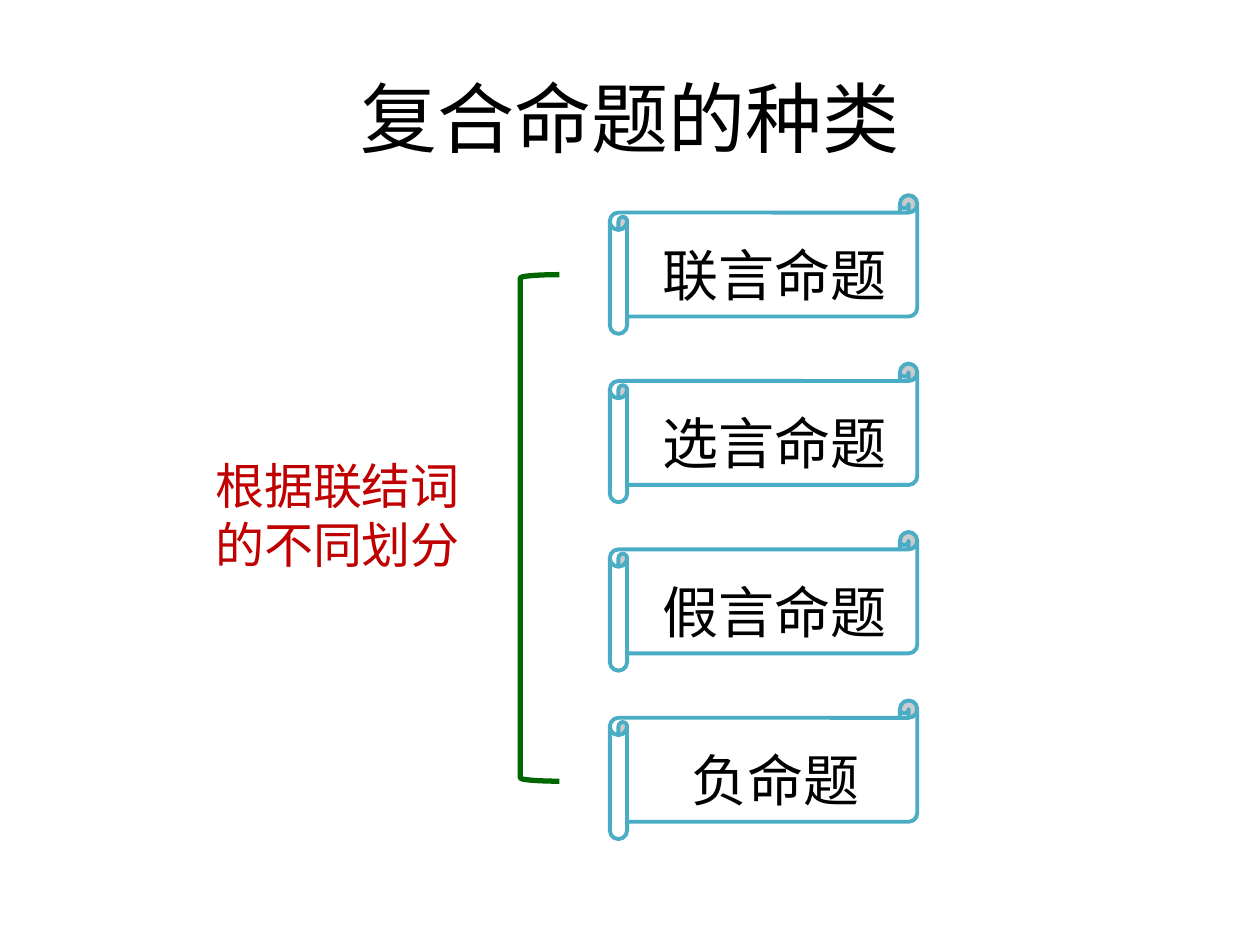
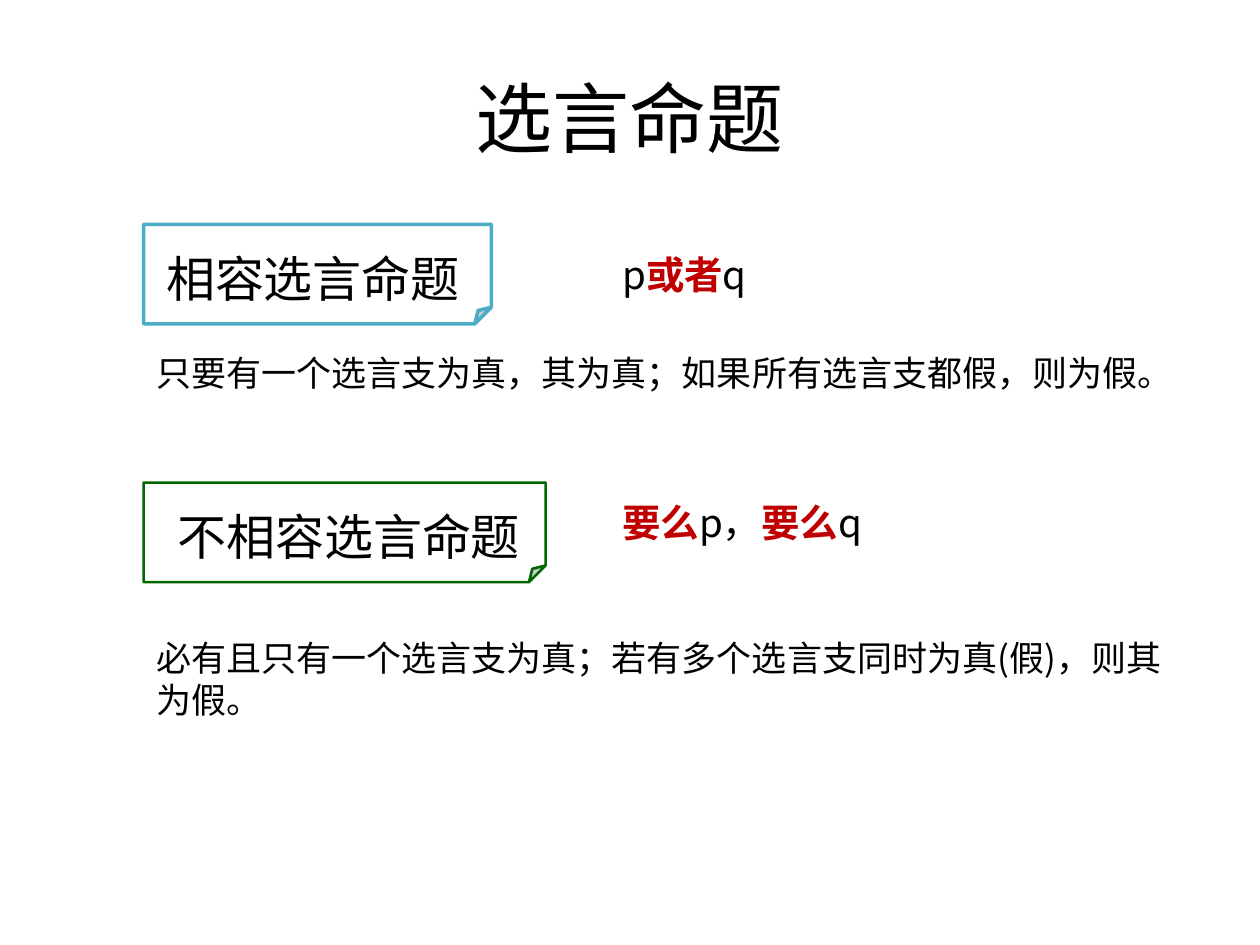
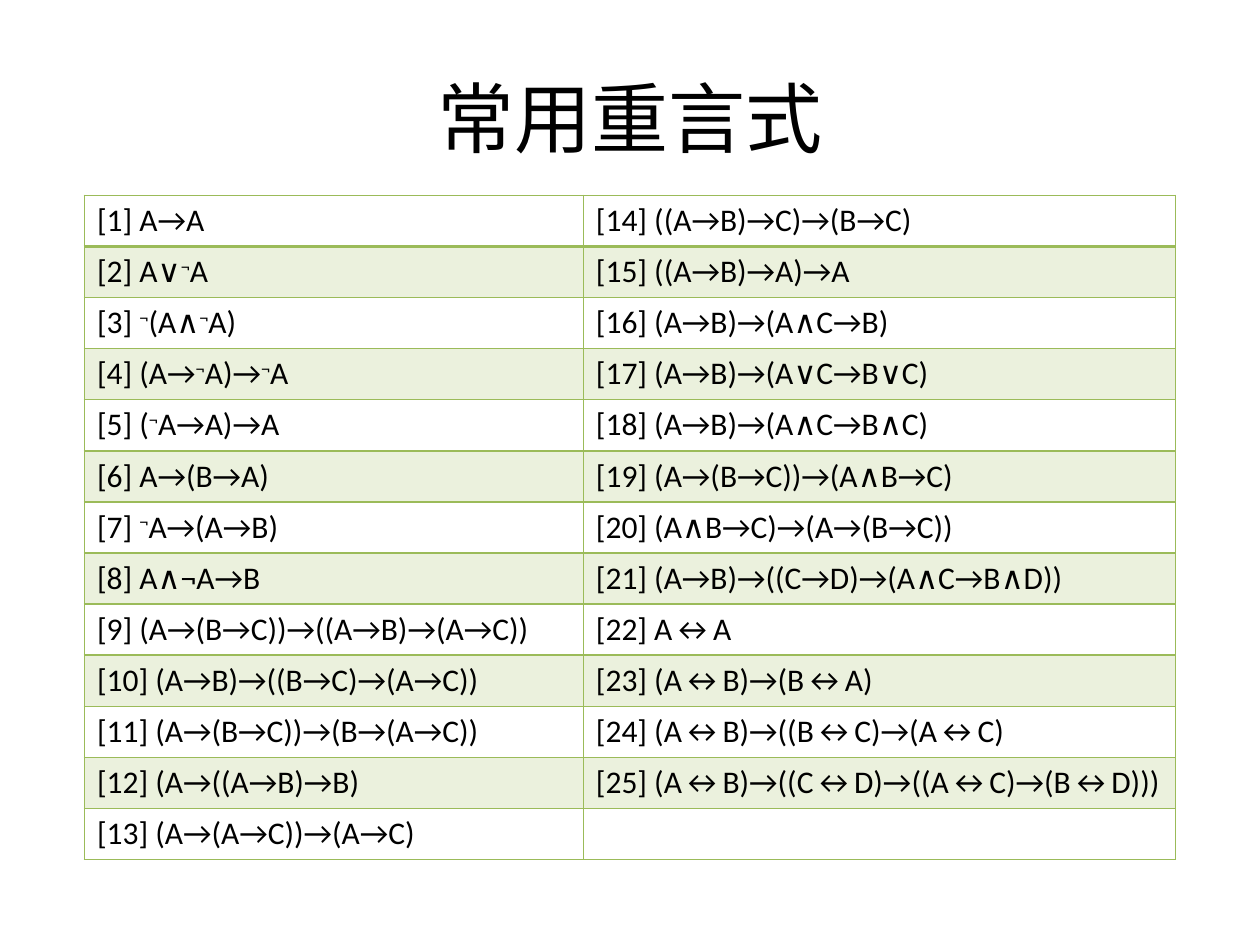
"""Build three slides on compound propositions and tautologies."""
from dataclasses import dataclass

from lxml.etree import SubElement
from pptx import Presentation
from pptx.dml.color import RGBColor
from pptx.enum.shapes import MSO_SHAPE as Kind
from pptx.enum.text import MSO_ANCHOR as Anchor, PP_ALIGN as Align
from pptx.oxml.ns import qn
from pptx.util import Inches, Pt

BLACK, WHITE, RED = "000000", "FFFFFF", "C00000"
TEAL, GREEN, LIME = "4BACC6", "006600", "9BBB59"
JP, SC, LATIN = "Noto Sans CJK JP", "Noto Sans CJK SC", "Calibri"


@dataclass(frozen=True)
class Box:
    """A frame in inches."""
    left: float
    top: float
    width: float
    height: float

    def place(self) -> tuple:
        """Give the frame as lengths."""
        return tuple(Inches(n) for n in (self.left, self.top, self.width, self.height))


@dataclass(frozen=True)
class Run:
    """A piece of text with its own look."""
    text: str
    color: str = BLACK
    bold: bool = False
    raised: bool = False


@dataclass(frozen=True)
class Style:
    """A font and its size in points."""
    font: str
    size: float


@dataclass(frozen=True)
class Card:
    """An outlined shape with a label laid over it."""
    kind: Kind
    box: Box
    line: str
    weight: float
    label: str
    spot: Box
    style: Style


HEAD = Style(JP, 44)
SIDE = Style(JP, 28)
SCROLL = Style(SC, 32)
TAB = Style(SC, 28)
FORM = Style(JP, 22)
BODY = Style(SC, 20)
CELL = Style(LATIN, 18)

KINDS = ("联言命题", "选言命题", "假言命题", "负命题")
ROWS = 13
LAWS = (
    "A→A", "A∨^¬A", "^¬(A∧^¬A)", "(A→^¬A)→^¬A", "(^¬A→A)→A", "A→(B→A)",
    "^¬A→(A→B)", "A∧¬A→B", "(A→(B→C))→((A→B)→(A→C))",
    "(A→B)→((B→C)→(A→C))", "(A→(B→C))→(B→(A→C))", "(A→((A→B)→B)",
    "(A→(A→C))→(A→C)", "((A→B)→C)→(B→C)", "((A→B)→A)→A",
    "(A→B)→(A∧C→B)", "(A→B)→(A∨C→B∨C)", "(A→B)→(A∧C→B∧C)",
    "(A→(B→C))→(A∧B→C)", "(A∧B→C)→(A→(B→C))",
    "(A→B)→((C→D)→(A∧C→B∧D))", "A↔A", "(A↔B)→(B↔A)",
    "(A↔B)→((B↔C)→(A↔C)", "(A↔B)→((C↔D)→((A↔C)→(B↔D)))",
)


def paint(code: str) -> RGBColor:
    """Turn a hex string into a colour."""
    return RGBColor.from_string(code)


def write(frame, lines: list[list[Run]], style: Style, align=Align.LEFT) -> None:
    """Fill a text frame, one paragraph for each list of runs."""
    frame.word_wrap = True
    for i, runs in enumerate(lines):
        para = frame.add_paragraph() if i else frame.paragraphs[0]
        para.alignment = align
        for item in runs:
            run = para.add_run()
            run.text = item.text
            font = run.font
            font.name, font.size, font.bold = style.font, Pt(style.size), item.bold
            font.color.rgb = paint(item.color)
            props = font._element
            SubElement(props, qn("a:ea")).set("typeface", style.font)
            if item.raised:
                props.set("baseline", "30000")


def add_text(shapes, box: Box, lines: list[list[Run]], style: Style) -> None:
    """Add a plain text box."""
    write(shapes.add_textbox(*box.place()).text_frame, lines, style)


def add_form(shapes, kind: Kind, box: Box, fill: str = "", line: str = "", weight: float = 0):
    """Add a preset shape without a shadow."""
    shape = shapes.add_shape(kind, *box.place())
    shape.shadow.inherit = False
    if fill:
        shape.fill.solid()
        shape.fill.fore_color.rgb = paint(fill)
    else:
        shape.fill.background()
    if line:
        shape.line.color.rgb = paint(line)
        shape.line.width = Pt(weight)
    else:
        shape.line.fill.background()
    return shape


def add_card(slide, card: Card) -> None:
    """Group an outlined shape with its label."""
    shapes = slide.shapes.add_group_shape().shapes
    add_form(shapes, card.kind, card.box, WHITE, card.line, card.weight)
    add_text(shapes, card.spot, [[Run(card.label)]], card.style)


def add_slide(deck, text: str):
    """Add a slide with the shared title style."""
    slide = deck.slides.add_slide(deck.slide_layouts[5])
    title = slide.shapes.title
    title.left, title.top, title.width, title.height = Box(0.5, 0.3, 9, 1.25).place()
    title.text_frame.vertical_anchor = Anchor.MIDDLE
    write(title.text_frame, [[Run(text)]], HEAD, Align.CENTER)
    return slide


def show_kinds(deck) -> None:
    """Show the four kinds beside a bracket."""
    slide = add_slide(deck, "复合命题的种类")
    lines = [[Run(text, RED)] for text in ("根据联结词", "的不同划分")]
    add_text(slide.shapes, Box(1.61, 3.57, 2.44, 1.04), lines, SIDE)
    step = 4.01 / (len(KINDS) - 1)
    for i, name in enumerate(KINDS):
        top = 1.55 + i * step
        left = 5.16 if len(name) == 4 else 5.39
        add_card(slide, Card(Kind.HORIZONTAL_SCROLL, Box(4.84, top, 2.44, 1.1), TEAL, 2.25,
                             name, Box(left, top + 0.31, 2.13, 0.64), SCROLL))
    add_form(slide.shapes, Kind.LEFT_BRACKET, Box(4.13, 2.18, 0.31, 4.02), line=GREEN, weight=3)


def show_choice(deck) -> None:
    """Show the two kinds of disjunction."""
    slide = add_slide(deck, "选言命题")
    shapes = slide.shapes
    add_card(slide, Card(Kind.FOLDED_CORNER, Box(1.14, 1.78, 2.76, 0.79), TEAL, 2,
                         "相容选言命题", Box(1.22, 1.92, 2.91, 0.57), TAB))
    add_text(shapes, Box(4.84, 1.94, 3.54, 0.47),
             [[Run("p"), Run("或者", RED, True), Run("q")]], FORM)
    add_text(shapes, Box(1.14, 2.74, 8.11, 0.77),
             [[Run("只要有一个选言支为真，其为真；如果所有选言支都假，则为假。")]], BODY)
    add_card(slide, Card(Kind.FOLDED_CORNER, Box(1.14, 3.83, 3.19, 0.79), GREEN, 1.5,
                         "不相容选言命题", Box(1.31, 3.97, 3.37, 1.04), TAB))
    either = Run("要么", RED, True)
    add_text(shapes, Box(4.84, 3.91, 3.54, 0.47),
             [[either, Run("p，"), either, Run("q")]], FORM)
    rule = add_form(shapes, Kind.RECTANGLE, Box(1.14, 5, 8.27, 0.77), WHITE)
    rule.text_frame.vertical_anchor = Anchor.TOP
    write(rule.text_frame,
          [[Run("必有且只有一个选言支为真；若有多个选言支同时为真(假)，则其为假。")]], BODY)


def add_fill(parent, code: str):
    """Add a solid fill element and return its colour."""
    color = SubElement(SubElement(parent, qn("a:solidFill")), qn("a:srgbClr"))
    color.set("val", code)
    return color


def dress(cell, row: int) -> None:
    """Give a cell its borders and band."""
    props = cell._tc.get_or_add_tcPr()
    thick = {(0, "B"), (1, "T")}
    for side in "LRTB":
        line = SubElement(props, qn(f"a:ln{side}"))
        line.set("w", str(Pt(2 if (row, side) in thick else 1)))
        add_fill(line, LIME)
    if row % 2:
        SubElement(add_fill(props, LIME), qn("a:alpha")).set("val", "20000")
    else:
        cell.fill.background()


def split(law: str) -> list[Run]:
    """Split a law into runs, raising each sign after a caret."""
    first, *rest = law.split("^")
    runs = [Run(first)]
    for part in rest:
        runs += [Run(part[0], raised=True), Run(part[1:])]
    return runs


def show_laws(deck) -> None:
    """List the tautologies in two columns."""
    slide = add_slide(deck, "常用重言式")
    box = Box(0.67, 1.55, 8.66, 5.27)
    table = slide.shapes.add_table(ROWS, 2, *box.place()).table
    table.first_row = table.horz_banding = False
    for column, width in zip(table.columns, (3.96, 4.7)):
        column.width = Inches(width)
    for i, line in enumerate(table.rows):
        line.height = Inches(box.height / ROWS)
        for cell in line.cells:
            dress(cell, i)
    for i, law in enumerate(LAWS):
        column, row = divmod(i, ROWS)
        write(table.cell(row, column).text_frame, [split(f"[{i + 1}] {law}")], CELL)


def main() -> None:
    """Build and save the deck."""
    deck = Presentation()
    deck.slide_width, deck.slide_height = Inches(10), Inches(7.5)
    show_kinds(deck)
    show_choice(deck)
    show_laws(deck)
    deck.save("out.pptx")


if __name__ == "__main__":
    main()
